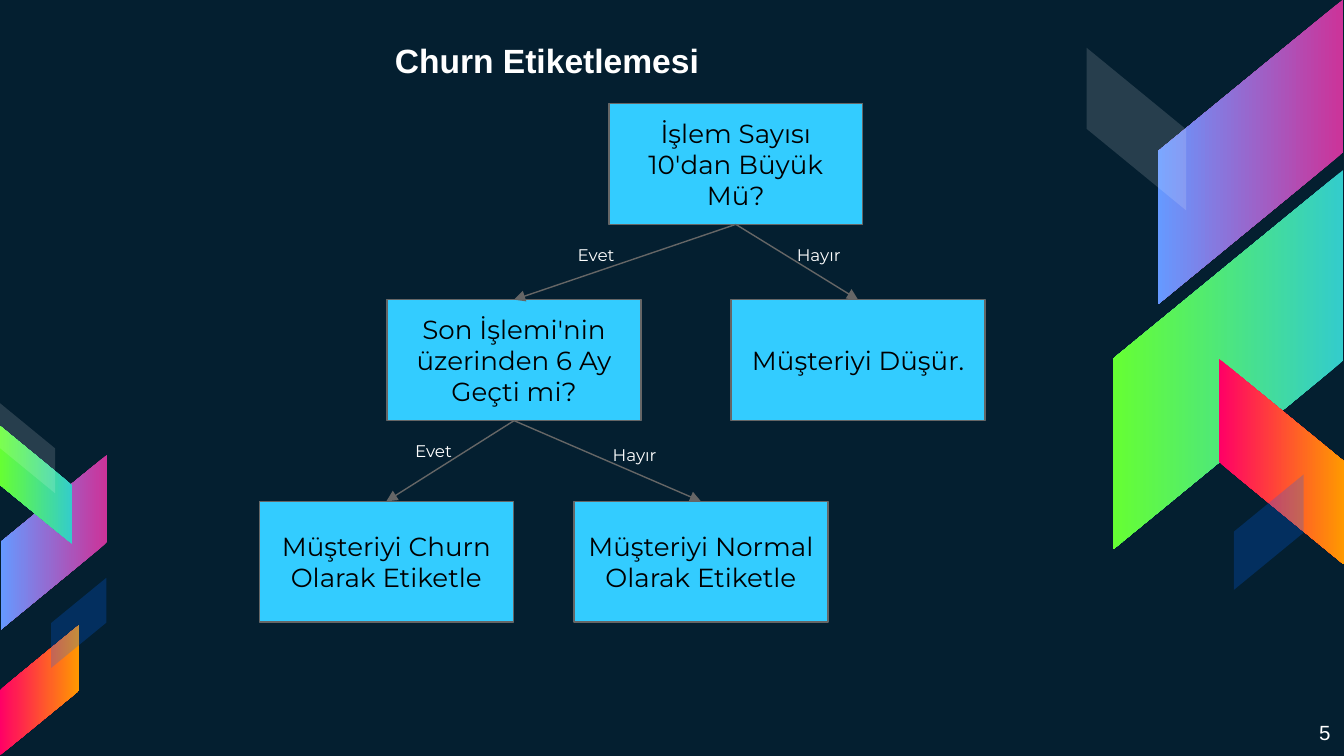
import pptx
import pptx.dml.color
import pptx.enum.shapes
import pptx.enum.text
import pptx.oxml.ns
import pptx.util
from lxml import etree

Inches = pptx.util.Inches
Pt = pptx.util.Pt
RGBColor = pptx.dml.color.RGBColor
PP_ALIGN = pptx.enum.text.PP_ALIGN
ANCHOR = pptx.enum.text.MSO_ANCHOR
SHAPE = pptx.enum.shapes.MSO_SHAPE
qn = pptx.oxml.ns.qn

NAVY = RGBColor(0x04, 0x1F, 0x30)
SKY = RGBColor(0x33, 0xCC, 0xFF)
GRAY = RGBColor(0x66, 0x66, 0x66)
BLACK = RGBColor(0x00, 0x00, 0x00)
WHITE = RGBColor(0xFF, 0xFF, 0xFF)
BLUE = RGBColor(0x00, 0x66, 0xFF)
PINK_BLUE = (RGBColor(0xCC, 0x33, 0x99), RGBColor(0x66, 0x99, 0xFF))
TEAL_GREEN = (RGBColor(0x33, 0xCC, 0xCC), RGBColor(0x66, 0xFF, 0x33))
RED_ORANGE = (RGBColor(0xFF, 0x00, 0x66), RGBColor(0xFF, 0x99, 0x00))
PALE_GLASS = (WHITE, 14)
BLUE_GLASS = (BLUE, 23)

SLIDE_WIDTH = Inches(10)
SLIDE_HEIGHT = SLIDE_WIDTH * 9 // 16

HEADING = "Churn Etiketlemesi"
PAGE_NUMBER = "5"

BOX_SIZE = (1.89, 0.9)
ROW_TOPS = (0.77, 2.23, 3.73)
DECISIONS = {
    "count": ("İşlem Sayısı 10'dan Büyük Mü?", 4.53, 0),
    "recency": ("Son İşlemi'nin üzerinden 6 Ay Geçti mi?", 2.88, 1),
    "drop": ("Müşteriyi Düşür.", 5.44, 1),
    "churn": ("Müşteriyi Churn Olarak Etiketle", 1.93, 2),
    "normal": ("Müşteriyi Normal Olarak Etiketle", 4.27, 2),
}
BRANCHES = [
    ("count", "recency", "Evet", (4.2, 1.72, 0.5, 0.31)),
    ("count", "drop", "Hayır", (5.83, 1.72, 0.59, 0.31)),
    ("recency", "churn", "Evet", (2.99, 3.18, 0.5, 0.31)),
    ("recency", "normal", "Hayır", (4.46, 3.21, 0.55, 0.31)),
]

RIBBONS = [
    ((8.17, 0.44, 2.27, 1.38), 90, True, PINK_BLUE),
    ((7.73, 1.82, 2.82, 1.71), 90, True, TEAL_GREEN),
    ((8.77, 2.97, 1.53, 0.93), 270, False, RED_ORANGE),
    ((7.85, 0.59, 1.21, 0.74), 270, False, PALE_GLASS),
    ((9.01, 3.7, 0.86, 0.52), 270, True, BLUE_GLASS),
    ((-0.25, 3.64, 1.3, 0.79), 90, True, PINK_BLUE),
    ((-0.17, 3.34, 0.88, 0.54), 90, False, TEAL_GREEN),
    ((-0.19, 4.84, 0.97, 0.59), 270, True, RED_ORANGE),
    ((-0.13, 3.13, 0.67, 0.41), 270, False, PALE_GLASS),
    ((0.25, 4.43, 0.67, 0.41), 270, True, BLUE_GLASS),
]

MARGINS = {f"margin_{side}": Inches(0.1) for side in ("left", "top", "right", "bottom")}
TITLE_FONT = {"name": "Arial", "size": Pt(18), "bold": True}
NUMBER_FONT = {"name": "Arial", "size": Pt(11)}
BOX_FONT = {"name": "Montserrat", "size": Pt(14)}
LABEL_FONT = {"name": "Montserrat", "size": Pt(9)}


def apply(target, values):
    for name, value in values.items():
        setattr(target, name, value)


def write(shape, text, font, color, align=PP_ALIGN.LEFT, anchor=ANCHOR.TOP):
    frame = shape.text_frame
    apply(frame, {**MARGINS, "word_wrap": True, "vertical_anchor": anchor,
                  "auto_size": pptx.enum.text.MSO_AUTO_SIZE.NONE})
    paragraph = frame.paragraphs[0]
    paragraph.alignment = align
    run = paragraph.add_run()
    run.text = text
    apply(run.font, font)
    run.font.color.rgb = color
    return paragraph


def add_text(slide, place, *content):
    return write(slide.shapes.add_textbox(*map(Inches, place)), *content)


def add_ribbon(slide, place, rotation, flipped, paint):
    ribbon = slide.shapes.add_shape(SHAPE.PARALLELOGRAM, *map(Inches, place))
    ribbon.adjustments[0] = 0.82
    ribbon.rotation = rotation
    ribbon.shadow.inherit = False
    ribbon.line.fill.background()
    if flipped:
        ribbon.element.spPr.find(qn("a:xfrm")).set("flipH", "1")
    if paint in (PALE_GLASS, BLUE_GLASS):
        color, opacity = paint
        ribbon.fill.solid()
        ribbon.fill.fore_color.rgb = color
        tint = ribbon.element.spPr.find(qn("a:solidFill"))[0]
        etree.SubElement(tint, qn("a:alpha")).set("val", str(opacity * 1000))
    else:
        ribbon.fill.gradient()
        ribbon.fill.gradient_angle = 270
        for stop, color in zip(ribbon.fill.gradient_stops, paint):
            stop.color.rgb = color


def add_box(slide, text, left, row):
    place = (left, ROW_TOPS[row], *BOX_SIZE)
    box = slide.shapes.add_shape(SHAPE.RECTANGLE, *map(Inches, place))
    box.shadow.inherit = False
    box.fill.solid()
    box.fill.fore_color.rgb = SKY
    box.line.color.rgb = GRAY
    box.line.width = Pt(0.75)
    write(box, text, BOX_FONT, BLACK, PP_ALIGN.CENTER, ANCHOR.MIDDLE)
    return box


def add_arrow(slide, parent, child):
    arrow = slide.shapes.add_connector(pptx.enum.shapes.MSO_CONNECTOR.STRAIGHT, 0, 0, 0, 0)
    arrow.begin_connect(parent, 2)
    arrow.end_connect(child, 0)
    arrow.line.color.rgb = GRAY
    arrow.line.width = Pt(0.75)
    outline = arrow.element.spPr.find(qn("a:ln"))
    etree.SubElement(outline, qn("a:tailEnd")).set("type", "triangle")
    etree.SubElement(arrow.element.spPr, qn("a:effectLst"))


def main():
    deck = pptx.Presentation()
    apply(deck, {"slide_width": SLIDE_WIDTH, "slide_height": SLIDE_HEIGHT})
    slide = deck.slides.add_slide(deck.slide_layouts[5])
    slide.background.fill.solid()
    slide.background.fill.fore_color.rgb = NAVY

    for ribbon in RIBBONS:
        add_ribbon(slide, *ribbon)

    title = slide.shapes.title
    apply(title, {"left": Inches(2.6), "top": Inches(0),
                  "width": Inches(2.94), "height": Inches(0.7)})
    heading = write(title, HEADING, TITLE_FONT, WHITE, PP_ALIGN.CENTER, ANCHOR.BOTTOM)
    heading.space_before = Pt(6)
    add_text(slide, (9.36, 5.26, 0.64, 0.36), PAGE_NUMBER, NUMBER_FONT, WHITE, PP_ALIGN.RIGHT)

    boxes = {key: add_box(slide, *decision) for key, decision in DECISIONS.items()}
    for parent, child, answer, place in BRANCHES:
        add_text(slide, place, answer, LABEL_FONT, WHITE)
        add_arrow(slide, boxes[parent], boxes[child])

    deck.save("out.pptx")


if __name__ == "__main__":
    main()
